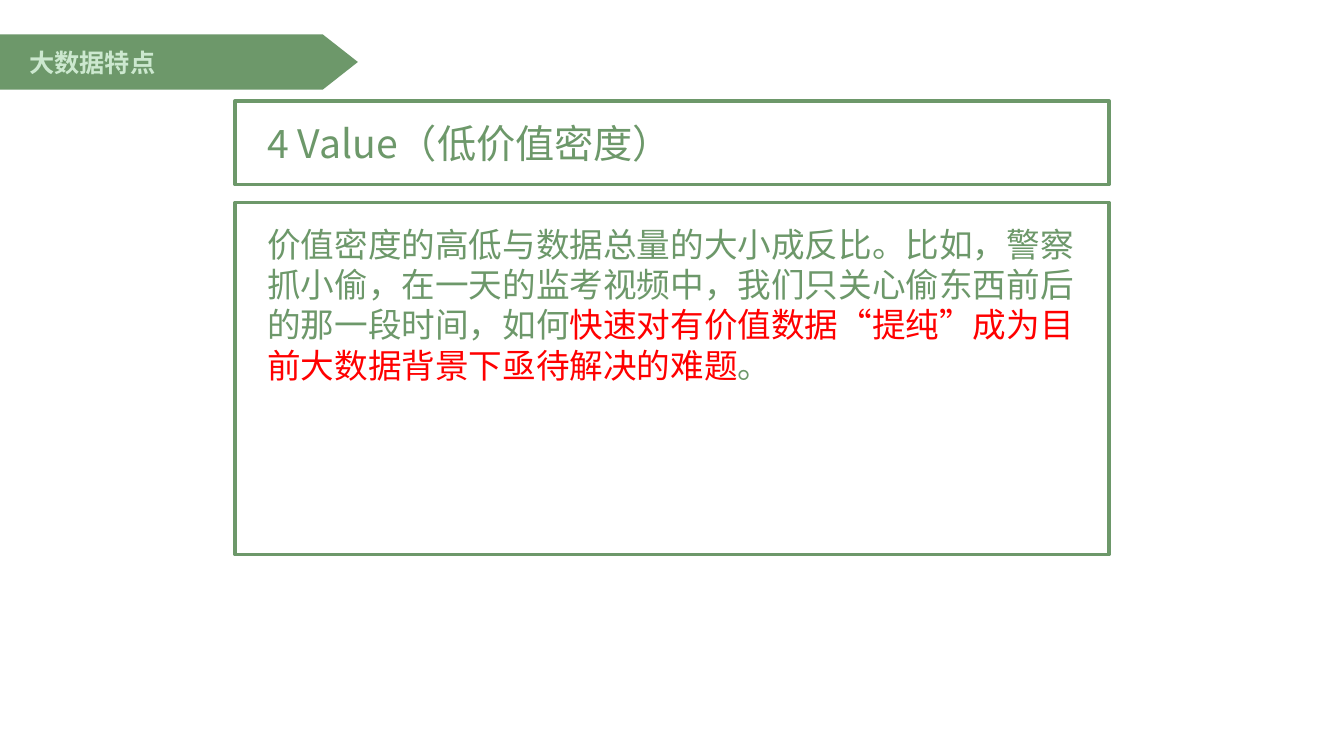
"""Build the slide on low value density as a feature of big data."""
from lxml import etree
from pptx import Presentation
from pptx import util as u
from pptx.dml.color import RGBColor
from pptx.enum import shapes, text
from pptx.oxml.ns import qn

COLORS = {"green": "6D986A", "mint": "CCE8CF", "red": "FF0000"}
COLORS = {name: RGBColor.from_string(value) for name, value in COLORS.items()}
FONT = "Noto Sans CJK SC"


def place(part, left, top, width, height):
    part.left, part.top = u.Inches(left), u.Inches(top)
    part.width, part.height = u.Inches(width), u.Inches(height)


def write(part, runs, size, insets, anchor, bold=False):
    frame = part.text_frame
    frame.word_wrap = True
    frame.auto_size = text.MSO_AUTO_SIZE.NONE
    frame.vertical_anchor = anchor
    frame.margin_left, frame.margin_top, frame.margin_right, frame.margin_bottom = map(u.Inches, insets)
    paragraph = frame.paragraphs[0]
    paragraph.alignment = text.PP_ALIGN.LEFT
    paragraph.space_before = u.Pt(0)
    paragraph.line_spacing = u.Pt(size * 1.2)
    properties = paragraph._p.get_or_add_pPr()
    properties.set("marL", "0")
    properties.set("indent", "0")
    etree.SubElement(properties, qn("a:buNone"))
    paragraph.font.size = u.Pt(size)
    paragraph.font.name = FONT
    paragraph.font.bold = bold
    for words, color in runs:
        run = paragraph.add_run()
        run.text = words
        run.font.size, run.font.name, run.font.bold = u.Pt(size), FONT, bold
        run.font.color.rgb = COLORS[color]
        etree.SubElement(run._r.get_or_add_rPr(), qn("a:ea"), typeface=FONT)


deck = Presentation()
deck.slide_width, deck.slide_height = u.Inches(13.33), u.Inches(7.5)
slide = deck.slides.add_slide(deck.slide_layouts[1])
heading, explanation = slide.placeholders

banner = slide.shapes.add_shape(shapes.MSO_SHAPE.PENTAGON, 0, 0, 0, 0)
place(banner, -0.01, 0.34, 3.56, 0.55)
banner.adjustments[0] = 0.35 / 0.55
banner.shadow.inherit = False
banner.fill.solid()
banner.fill.fore_color.rgb = COLORS["green"]
banner.line.fill.background()
write(banner, [("大数据特点", "mint")], 18, (0.3, 0.05, 0.05, 0.05),
      text.MSO_ANCHOR.MIDDLE, bold=True)

for frame_box, top, height in ((heading, 1, 0.83), (explanation, 2.01, 3.49)):
    place(frame_box, 2.33, top, 8.67, height)
    frame_box.line.color.rgb = COLORS["green"]
    frame_box.line.width = u.Pt(2.5)

write(heading, [("4 Value（低价值密度）", "green")], 28, (0.32, 0.18, 0.26, 0.05),
      text.MSO_ANCHOR.TOP)
write(explanation, [
    ("价值密度的高低与数据总量的大小成反比。比如，警察抓小偷，在一天的监考视频中，"
     "我们只关心偷东西前后的那一段时间，如何", "green"),
    ("快速对有价值数据“提纯”成为目前大数据背景下亟待解决的难题", "red"),
    ("。", "green"),
], 24, (0.32, 0.21, 0.26, 0.05), text.MSO_ANCHOR.TOP)

deck.save("out.pptx")
